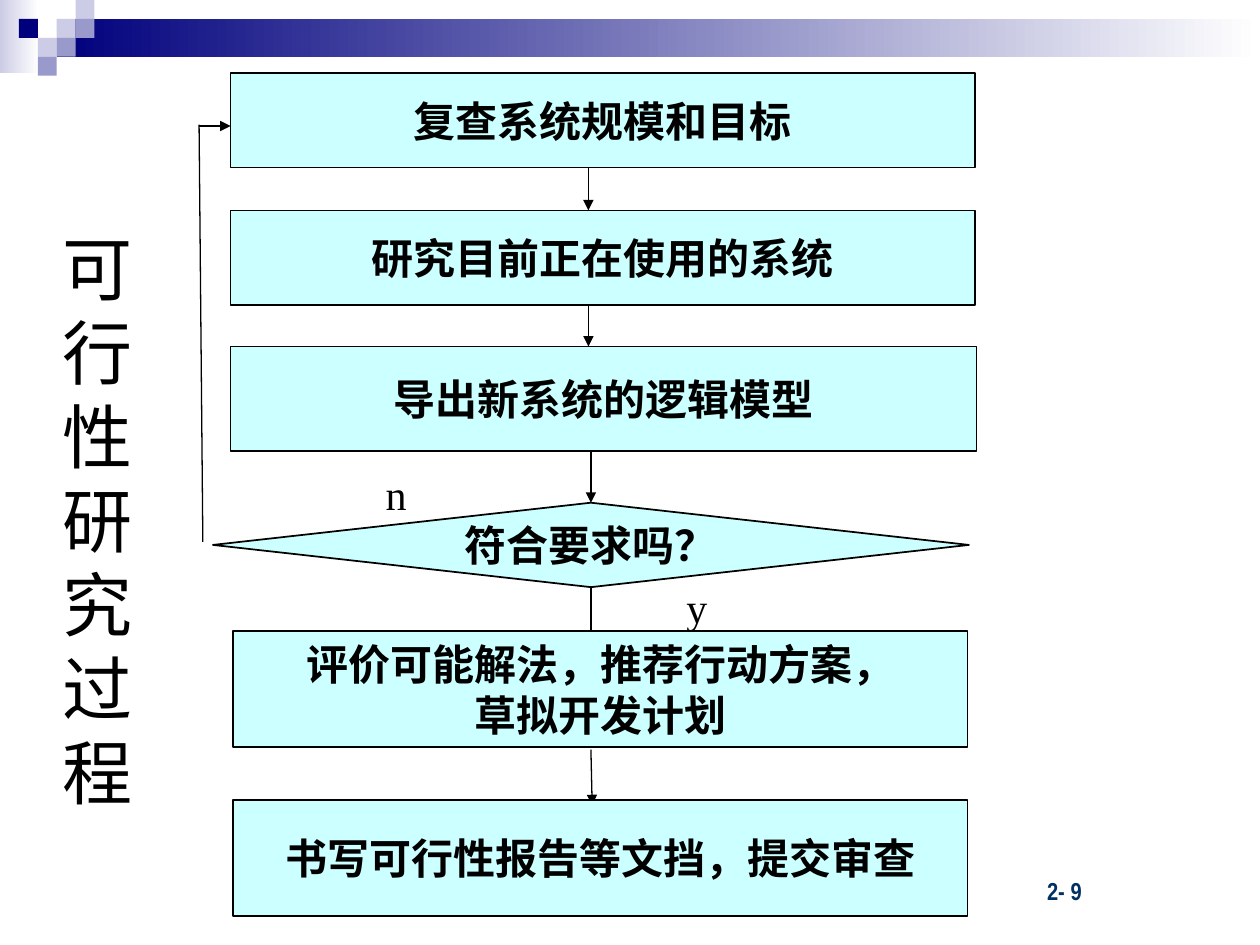
"""Build a slide with the flowchart of the feasibility study process."""
from dataclasses import dataclass
from typing import Optional

from lxml.etree import SubElement
from pptx import Presentation
from pptx.dml.color import RGBColor
from pptx.enum.shapes import MSO_CONNECTOR, MSO_SHAPE
from pptx.enum.text import MSO_ANCHOR, PP_ALIGN
from pptx.oxml.ns import qn
from pptx.shapes.autoshape import Shape
from pptx.shapes.connector import Connector
from pptx.slide import Slide
from pptx.util import Inches, Pt


@dataclass(frozen=True)
class Theme:
    black: RGBColor = RGBColor(0x00, 0x00, 0x00)
    white: RGBColor = RGBColor(0xFF, 0xFF, 0xFF)
    navy: RGBColor = RGBColor(0x00, 0x00, 0x7D)
    lavender: RGBColor = RGBColor(0xCC, 0xCC, 0xE6)
    violet: RGBColor = RGBColor(0x99, 0x99, 0xCC)
    step_fill: RGBColor = RGBColor(0xCC, 0xFF, 0xFF)
    number_color: RGBColor = RGBColor(0x00, 0x31, 0x62)
    title_font: str = "Arial"
    body_font: str = "Times New Roman"
    number_font: str = "Arial Narrow"
    title_size: int = 40
    body_size: int = 24
    number_size: int = 14
    outline: float = 1
    arrow: float = 0.75


@dataclass(frozen=True)
class Area:
    left: float
    top: float
    width: float
    height: float

    def lengths(self) -> list[int]:
        return [Inches(value) for value in (self.left, self.top, self.width, self.height)]


@dataclass(frozen=True)
class Step:
    area: Area
    lines: tuple[str, ...]
    kind: MSO_SHAPE = MSO_SHAPE.RECTANGLE


@dataclass(frozen=True)
class Label:
    area: Area
    text: str
    font: str
    size: int
    color: RGBColor
    bold: bool = False
    wrap: bool = False
    align: PP_ALIGN = PP_ALIGN.CENTER
    anchor: MSO_ANCHOR = MSO_ANCHOR.MIDDLE
    margin_left: float = 0.1


@dataclass(frozen=True)
class Link:
    start: tuple[float, float]
    end: tuple[float, float]
    head: bool = True


@dataclass(frozen=True)
class Square:
    column: int
    row: int
    color: RGBColor


THEME = Theme()
GRID = 0.15
GRADIENTS = (
    (Area(0, 0, 0.31, 0.58), THEME.lavender),
    (Area(0.45, 0.15, 9.55, 0.3), THEME.navy),
)
SQUARES = (
    Square(3, 1, THEME.lavender),
    Square(4, 0, THEME.lavender),
    Square(4, 1, THEME.violet),
    Square(2, 2, THEME.lavender),
    Square(1, 1, THEME.navy),
    Square(3, 2, THEME.violet),
    Square(2, 3, THEME.violet),
)
DECISION = Step(Area(1.69, 3.99, 6, 0.67), ("符合要求吗？",), MSO_SHAPE.FLOWCHART_DECISION)
STEPS = (
    Step(Area(1.83, 0.58, 5.91, 0.75), ("复查系统规模和目标",)),
    Step(Area(1.83, 1.67, 5.91, 0.75), ("研究目前正在使用的系统",)),
    Step(Area(1.83, 2.75, 5.92, 0.83), ("导出新系统的逻辑模型",)),
    Step(Area(1.85, 5.01, 5.83, 0.92), ("评价可能解法，推荐行动方案，", "草拟开发计划")),
    Step(Area(1.85, 6.35, 5.83, 0.92), ("书写可行性报告等文挡，提交审查",)),
)
INTO_DECISION = Link((4.69, 3.59), (4.69, 3.99))
OUT_OF_DECISION = Link((4.69, 4.66), (4.69, 5.11))
LINKS = (
    Link((4.67, 1.33), (4.67, 1.67)),
    Link((4.67, 2.42), (4.67, 2.75)),
    Link((4.69, 5.95), (4.7, 6.39)),
    Link((1.61, 4.3), (1.58, 0.99), head=False),
    Link((1.58, 1), (1.83, 1)),
)
LABELS = (
    Label(Area(7.28, 6.9, 2.08, 0.33), "2- 9", THEME.number_font, THEME.number_size,
          THEME.number_color, bold=True, wrap=True, align=PP_ALIGN.LEFT,
          anchor=MSO_ANCHOR.TOP, margin_left=1.03),
    Label(Area(0.27, 0.75, 1, 6.75), "可行性研究过程", THEME.title_font, THEME.title_size,
          THEME.black, wrap=True),
    Label(Area(2.56, 3.83, 1.17, 0.17), "n", THEME.body_font, THEME.body_size, THEME.black),
    Label(Area(5.24, 4.69, 0.58, 0.25), "y", THEME.body_font, THEME.body_size, THEME.black),
)


def add_block(page: Slide, area: Area, kind: MSO_SHAPE = MSO_SHAPE.RECTANGLE) -> Shape:
    block = page.shapes.add_shape(kind, *area.lengths())
    block.shadow.inherit = False
    block.line.fill.background()
    return block


def add_gradient(page: Slide, area: Area, color: RGBColor) -> None:
    fill = add_block(page, area).fill
    fill.gradient()
    fill.gradient_angle = 0
    for stop, stop_color in zip(fill.gradient_stops, (color, THEME.white)):
        stop.color.rgb = stop_color


def add_square(page: Slide, square: Square) -> None:
    area = Area(square.column * GRID, square.row * GRID, GRID, GRID)
    fill = add_block(page, area).fill
    fill.solid()
    fill.fore_color.rgb = square.color


def write_line(box: Shape, index: int, text: str, font: str, size: int,
               color: RGBColor, bold: bool, align: PP_ALIGN = PP_ALIGN.CENTER) -> None:
    frame = box.text_frame
    para = frame.add_paragraph() if index else frame.paragraphs[0]
    para.text = text
    para.alignment = align
    para.font.name = font
    para.font.size = Pt(size)
    para.font.bold = bold
    para.font.color.rgb = color


def add_step(page: Slide, step: Step) -> Shape:
    box = add_block(page, step.area, step.kind)
    box.fill.solid()
    box.fill.fore_color.rgb = THEME.step_fill
    box.line.color.rgb = THEME.black
    box.line.width = Pt(THEME.outline)
    box.text_frame.word_wrap = False
    box.text_frame.vertical_anchor = MSO_ANCHOR.MIDDLE
    for index, text in enumerate(step.lines):
        write_line(box, index, text, THEME.body_font, THEME.body_size, THEME.black, True)
    return box


def add_label(page: Slide, label: Label) -> None:
    box = page.shapes.add_textbox(*label.area.lengths())
    box.text_frame.word_wrap = label.wrap
    box.text_frame.vertical_anchor = label.anchor
    box.text_frame.margin_left = Inches(label.margin_left)
    write_line(box, 0, label.text, label.font, label.size, label.color, label.bold, label.align)


def add_link(page: Slide, link: Link) -> Connector:
    points = [Inches(value) for value in link.start + link.end]
    connector = page.shapes.add_connector(MSO_CONNECTOR.STRAIGHT, *points)
    connector.line.color.rgb = THEME.black
    connector.line.width = Pt(THEME.arrow)
    if link.head:
        SubElement(connector.line._get_or_add_ln(), qn("a:tailEnd"), type="triangle")
    SubElement(connector._element.spPr, qn("a:effectLst"))
    return connector


def main() -> None:
    deck = Presentation()
    deck.slide_width, deck.slide_height = Inches(10), Inches(7.5)
    page = deck.slides.add_slide(deck.slide_layouts[6])
    for area, color in GRADIENTS:
        add_gradient(page, area, color)
    for square in SQUARES:
        add_square(page, square)
    decision = add_step(page, DECISION)
    add_link(page, INTO_DECISION).end_connect(decision, 0)
    add_link(page, OUT_OF_DECISION).begin_connect(decision, 2)
    for link in LINKS:
        add_link(page, link)
    for step in STEPS:
        add_step(page, step)
    for label in LABELS:
        add_label(page, label)
    deck.save("out.pptx")


if __name__ == "__main__":
    main()
